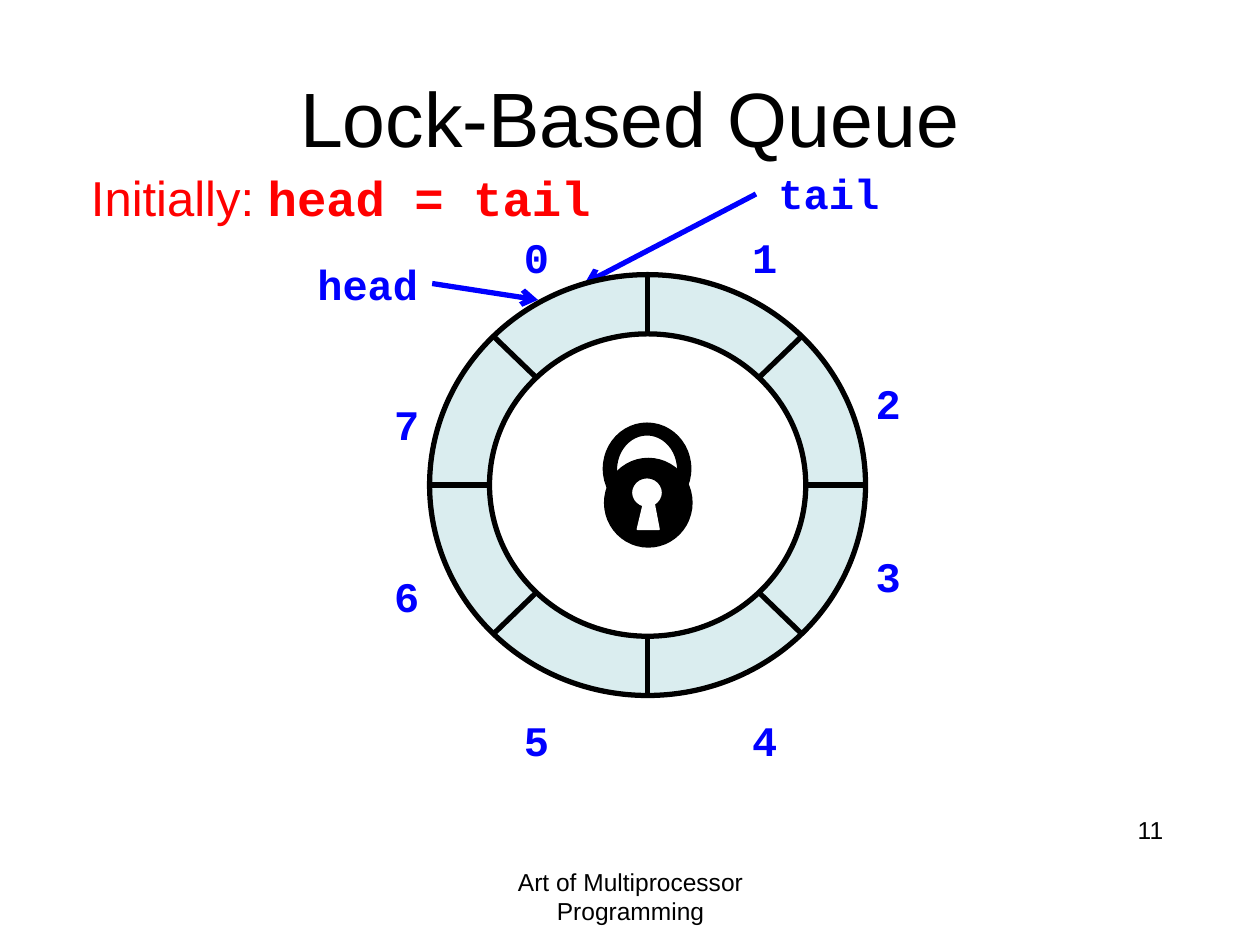
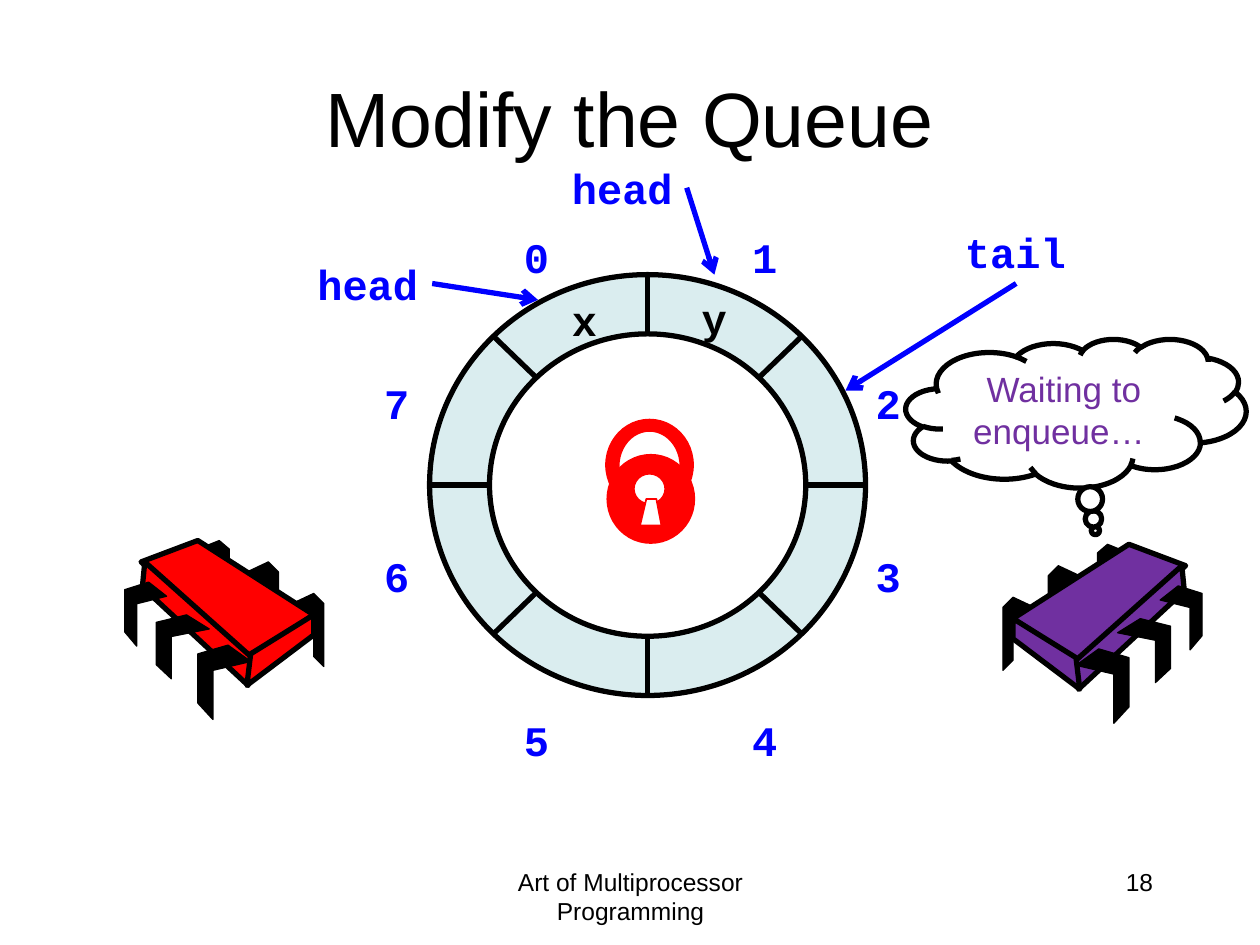
"""Build two slides about a lock-based circular queue."""
from math import cos, pi, sin

from lxml import etree
from pptx import Presentation
from pptx.dml.color import RGBColor
from pptx.enum.shapes import MSO_CONNECTOR, MSO_SHAPE
from pptx.enum.text import MSO_ANCHOR, MSO_AUTO_SIZE, PP_ALIGN
from pptx.oxml.ns import qn
from pptx.util import Inches, Pt

OVAL = MSO_SHAPE.OVAL
CLOUD = MSO_SHAPE.CLOUD_CALLOUT
STRAIGHT = MSO_CONNECTOR.STRAIGHT
LEFT, CENTER, RIGHT = PP_ALIGN.LEFT, PP_ALIGN.CENTER, PP_ALIGN.RIGHT
TOP, MIDDLE = MSO_ANCHOR.TOP, MSO_ANCHOR.MIDDLE
GROW = MSO_AUTO_SIZE.SHAPE_TO_FIT_TEXT

SANS, MONO = "Arial", "Courier New"
BLACK, WHITE, RED = "000000", "FFFFFF", "FF0000"
BLUE, PURPLE, PALE = "0000FF", "7030A0", "DAEDEF"

MID_X, MID_Y = 5.14, 3.85
WIDE, TALL = 3.46, 3.34
HOLE_W, HOLE_H = 2.51, 2.4

FAR_LEG = [(0, .08), (.17, 0), (.25, .08), (.25, .58), (.17, .5), (.17, .17), (0, .25)]
NEAR_LEG = [(.24, 0), (.42, .13), (.12, .2), (.12, .59), (0, .46), (0, .07)]
FAR_LEGS = [(2.32, 4.71, 1, 1), (1.96, 4.46, 1, 1), (1.57, 4.29, 1, .86)]
NEAR_LEGS = [(1.57, 5.12, 1, 1), (1.24, 4.88, 1, .86), (.99, 4.62, .79, .86)]
BODY = [
    [(1.57, 4.29), (2.49, 4.88), (1.97, 5.22), (1.12, 4.46)],
    [(1.15, 4.46), (1.99, 5.21), (1.97, 5.44), (1.13, 4.66)],
    [(2.49, 4.88), (2.49, 5.04), (1.96, 5.44), (1.99, 5.19)],
]


def color(code):
    """Turn a hex string into a colour."""
    return RGBColor.from_string(code)


def paint(shape, fill, line, width):
    """Set the fill and outline of a shape and drop its shadow."""
    shape.shadow.inherit = False
    shape.fill.solid()
    shape.fill.fore_color.rgb = color(fill)
    shape.line.color.rgb = color(line)
    shape.line.width = Pt(width)


def write(frame, words, size=24, font=MONO, ink=BLUE, bold=False, align=LEFT):
    """Append a formatted run to the first paragraph of a frame."""
    para = frame.paragraphs[0]
    para.alignment = align
    run = para.add_run()
    run.text = words
    run.font.size = Pt(size)
    run.font.name = font
    run.font.bold = bold
    run.font.color.rgb = color(ink)


def add_box(slide, left, top, width, height, anchor=TOP):
    """Add a wrapping text box and return it."""
    box = slide.shapes.add_textbox(*map(Inches, (left, top, width, height)))
    box.text_frame.word_wrap = True
    box.text_frame.vertical_anchor = anchor
    return box


def add_code(slide, words, left, top, ink=BLUE):
    """Add a bold code label sized to its words."""
    box = add_box(slide, left, top, .21 + .2 * len(words), .5)
    box.text_frame.word_wrap = False
    box.text_frame.auto_size = GROW
    write(box.text_frame, words, ink=ink, bold=True)
    return box


def add_line(slide, start, end, ink=BLACK, arrow=False):
    """Add a straight line, with an arrowhead at its end if asked."""
    line = slide.shapes.add_connector(STRAIGHT, *map(Inches, (*start, *end)))
    line.line.color.rgb = color(ink)
    line.line.width = Pt(3)
    props = line.element.spPr
    if arrow:
        etree.SubElement(props.find(qn("a:ln")), qn("a:tailEnd"), type="arrow")
    etree.SubElement(props, qn("a:effectLst"))
    return line


def add_pointer(slide, words, left, top, start, tip, side=None):
    """Add a code label with an arrow, joined to one of its sides if given."""
    box = add_code(slide, words, left, top)
    line = add_line(slide, start, tip, BLUE, arrow=True)
    if side is not None:
        line.begin_connect(box, side)


def add_oval(slide, left, top, width, height, fill, line, weight):
    """Add a painted ellipse."""
    oval = slide.shapes.add_shape(OVAL, *map(Inches, (left, top, width, height)))
    paint(oval, fill, line, weight)


def add_outline(slide, points, fill, line, weight):
    """Add a closed polygon through points in inches."""
    first, *rest = [(Inches(x), Inches(y)) for x, y in points]
    pen = slide.shapes.build_freeform(*first)
    pen.add_line_segments(rest, close=True)
    paint(pen.convert_to_shape(), fill, line, weight)


def add_ring(slide):
    """Draw the circular buffer with its eight cells."""
    add_oval(slide, MID_X - WIDE / 2, MID_Y - TALL / 2, WIDE, TALL, PALE, BLACK, 3)
    for turn in range(4):
        dx = WIDE / 2 * cos(turn * pi / 4)
        dy = TALL / 2 * sin(turn * pi / 4)
        add_line(slide, (MID_X - dx, MID_Y - dy), (MID_X + dx, MID_Y + dy))
    add_oval(slide, MID_X - HOLE_W / 2, MID_Y - HOLE_H / 2, HOLE_W, HOLE_H,
             WHITE, BLACK, 3)


def add_digits(slide, left, low, high):
    """Number the cells; left, low and high place cells 6 and 7."""
    spots = [(4.06, 1.79), (5.87, 1.79), (6.85, 2.95), (6.85, 4.32),
             (5.87, 5.62), (4.06, 5.62), (left, low), (left, high)]
    for cell, spot in enumerate(spots):
        add_code(slide, str(cell), *spot)


def add_lock(slide, left, top, ink, edge):
    """Draw a padlock whose slot has the given edge colour."""
    ovals = [(0, 0, .69, .72, ink), (.1, .09, .49, .56, WHITE),
             (.01, .28, .69, .7, ink), (.22, .43, .25, .24, WHITE)]
    for dx, dy, width, height, fill in ovals:
        add_oval(slide, left + dx, top + dy, width, height, fill, ink, 1)
    slot = [(.27, .84), (.32, .63), (.4, .63), (.44, .84)]
    add_outline(slide, [(left + x, top + y) for x, y in slot], WHITE, edge, 1)


def add_thread(slide, ink, flip=False):
    """Draw a six-legged thread, mirrored to the right side if asked."""
    def place(points):
        """Mirror points when the thread is flipped."""
        return [(10.53 - x, y + .03) if flip else (x, y) for x, y in points]

    def add_legs(shape, spots):
        """Draw one leg outline at each spot and scale."""
        for left, top, sx, sy in spots:
            leg = [(left + x * sx, top + y * sy) for x, y in shape]
            add_outline(slide, place(leg), BLACK, BLACK, .75)

    add_legs(FAR_LEG, FAR_LEGS)
    for face in BODY:
        add_outline(slide, place(face), ink, BLACK, 3)
    add_legs(NEAR_LEG, NEAR_LEGS)


def add_cloud(slide, words):
    """Add a thought bubble."""
    cloud = slide.shapes.add_shape(CLOUD, *map(Inches, (7.19, 2.69, 2.7, 1.18)))
    cloud.adjustments[0], cloud.adjustments[1] = .057, .789
    paint(cloud, WHITE, BLACK, 3)
    cloud.text_frame.word_wrap = True
    cloud.text_frame.vertical_anchor = MIDDLE
    write(cloud.text_frame, words, size=20, font=SANS, ink=PURPLE, align=CENTER)


def add_page(deck, title, number, left, top):
    """Add a slide with title, footer and page number."""
    slide = deck.slides.add_slide(deck.slide_layouts[6])
    foot = add_box(slide, 3.42, 6.83, 3.17, .5)
    write(foot.text_frame, "Art of Multiprocessor Programming",
          size=14, font=SANS, ink=BLACK, align=CENTER)
    page = add_box(slide, left, top, 2.08, .5)
    write(page.text_frame, number, size=14, font=SANS, ink=BLACK, align=RIGHT)
    head = add_box(slide, .5, .3, 9, 1.25, MIDDLE)
    write(head.text_frame, title, size=44, font=SANS, ink=BLACK, align=CENTER)
    add_pointer(slide, "head", 2.42, 2, (3.43, 2.25), (4.27, 2.38), 3)
    return slide


def add_start(deck):
    """Show the empty queue."""
    slide = add_page(deck, "Lock-Based Queue", "11", 7.25, 6.42)
    add_pointer(slide, "tail", 6.08, 1.28, (6, 1.54), (4.64, 2.25))
    add_digits(slide, 3.03, 4.48, 3.11)
    note = add_box(slide, .56, 1.28, 4.29, .57).text_frame
    write(note, "Initially: ", size=28, font=SANS, ink=RED, align=CENTER)
    write(note, "head = tail", size=28, ink=RED, bold=True, align=CENTER)
    add_ring(slide)
    add_lock(slide, 4.79, 3.36, BLACK, WHITE)


def add_change(deck):
    """Show the locked queue while a thread waits."""
    slide = add_page(deck, "Modify the Queue", "18", 7.17, 6.83)
    add_pointer(slide, "tail", 7.56, 1.75, (8.06, 2.25), (6.71, 3.1), 2)
    add_digits(slide, 2.95, 4.32, 2.95)
    add_pointer(slide, "head", 4.44, 1.24, (5.46, 1.5), (5.67, 2.18), 3)
    add_thread(slide, RED)
    add_thread(slide, PURPLE, flip=True)
    add_cloud(slide, "Waiting to enqueue… ")
    add_ring(slide)
    add_code(slide, "y", 5.47, 2.27, BLACK)
    add_code(slide, "x", 4.44, 2.29, BLACK)
    add_lock(slide, 4.81, 3.33, RED, RED)


def main():
    """Build and save the deck."""
    deck = Presentation()
    deck.slide_width, deck.slide_height = Inches(10), Inches(7.5)
    add_start(deck)
    add_change(deck)
    deck.save("out.pptx")


if __name__ == "__main__":
    main()
